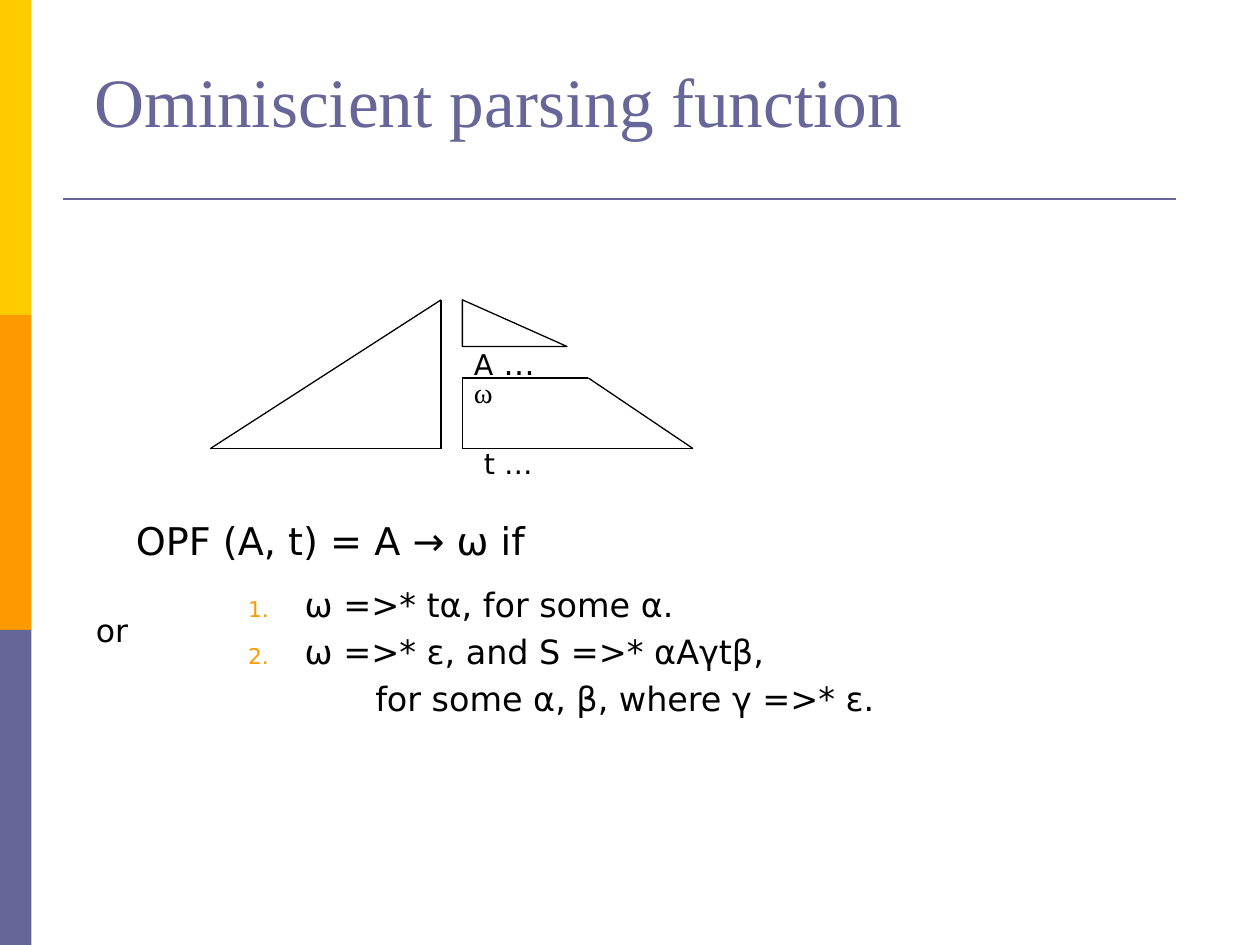
import itertools

import lxml.etree
import pptx
import pptx.dml.color
import pptx.enum.shapes
import pptx.enum.text
import pptx.oxml.ns
import pptx.util

Inches = pptx.util.Inches
Pt = pptx.util.Pt
RGBColor = pptx.dml.color.RGBColor
SHAPE = pptx.enum.shapes.MSO_SHAPE
ANCHOR = pptx.enum.text.MSO_ANCHOR

YELLOW = RGBColor(0xFF, 0xCC, 0x00)
ORANGE = RGBColor(0xFF, 0x99, 0x00)
PURPLE = RGBColor(0x66, 0x66, 0x99)
BLACK = RGBColor(0, 0, 0)
SANS = "DejaVu Sans"
SERIF = "Times New Roman"
LABEL = {"margin_left": Inches(0.09), "margin_right": Inches(0.09),
         "margin_top": Inches(0.04), "margin_bottom": Inches(0.04)}


def assign(item, values):
    """Set each named value on the item."""
    for name, value in values.items():
        setattr(item, name, value)


def child(node, tag, **values):
    """Append a drawing element with the given attributes."""
    return lxml.etree.SubElement(node, pptx.oxml.ns.qn(tag), **values)


def write(para, text, size, font=SANS, color=BLACK):
    """Add a run of formatted text to a paragraph."""
    run = para.add_run()
    run.text = text
    assign(run.font, {"name": font, "size": Pt(size)})
    run.font.color.rgb = color


def frame(slide, box, values):
    """Add a wrapping text box and return its text frame."""
    body = slide.shapes.add_textbox(*map(Inches, box)).text_frame
    assign(body, {"word_wrap": True, **values})
    return body


def label(slide, box, *runs):
    """Add a one-line label made of runs."""
    para = frame(slide, box, LABEL).paragraphs[0]
    para.space_before = Pt(1.5)
    for run in runs:
        write(para, *run)


def line(slide, start, end, color, width):
    """Draw a straight line between two points."""
    kind = pptx.enum.shapes.MSO_CONNECTOR.STRAIGHT
    edge = slide.shapes.add_connector(kind, *map(Inches, (*start, *end)))
    edge.line.color.rgb = color
    edge.line.width = Pt(width)
    child(edge._element.spPr, "a:effectLst")


def stripe(slide, box):
    """Stack three equal colour bars in the box."""
    left, top, width, height = box
    colors = (YELLOW, ORANGE, PURPLE)
    step = height / len(colors)
    for row, color in enumerate(colors):
        place = (left, top + row * step, width, step)
        bar = slide.shapes.add_shape(SHAPE.RECTANGLE, *map(Inches, place))
        bar.shadow.inherit = False
        bar.fill.solid()
        bar.fill.fore_color.rgb = color
        bar.line.fill.background()


def title(slide, box):
    """Place the heading above its rule."""
    left, top, width, height = box
    body = frame(slide, box, {"vertical_anchor": ANCHOR.BOTTOM})
    write(body.paragraphs[0], "Ominiscient parsing function", 39.6, SERIF, PURPLE)
    level = top + height + 0.41
    line(slide, (left - 0.15, level), (left + 8.68, level), PURPLE, 1.5)


def diagram(slide, box):
    """Draw the split parse tree with its labels."""
    left, top, width, height = box
    right, base = left + width, top + height
    half = 1.83
    stem, split, shelf = left + half, right - half, top + 0.62
    outlines = (
        ((left, base), (stem, base), (stem, top)),
        ((split, base), (right, base), (split + 1, shelf), (split, shelf)),
    )
    for points in outlines:
        for start, end in itertools.pairwise((*points, points[0])):
            line(slide, start, end, BLACK, 0.75)
    label(slide, (split, shelf - 0.06, 0.42, 0.36), ("ω", 16.3, SERIF))
    label(slide, (split + 0.08, base - 0.06, 0.92, 0.36), ("t …", 16.3))
    place = (split, top, 0.83, 0.37)
    peak = slide.shapes.add_shape(SHAPE.RIGHT_TRIANGLE, *map(Inches, place))
    peak.shadow.inherit = False
    peak.fill.background()
    peak.line.color.rgb = BLACK
    peak.line.width = Pt(0.75)
    label(slide, (split, top + 0.31, 0.92, 0.39), ("A", 16.3), (" …", 18))


def rules(slide, box):
    """Write the definition and its two numbered cases."""
    left, top = box[:2]
    body = frame(slide, box, {})
    rows = (
        ("OPF (A, t) = A → ω if", 21.8, 2, 0, False),
        ("ω =>* tα, for some α.", 19.1, 11.5, 1.34, True),
        ("ω =>* ε, and S =>* αAγtβ,", 19.1, 4, 1.34, True),
        ("for some α, β, where γ =>* ε.", 19.1, 4, 1.9, False),
    )
    for row, (text, size, gap, indent, listed) in enumerate(rows):
        para = body.add_paragraph() if row else body.paragraphs[0]
        para.space_before = Pt(gap)
        write(para, text, size)
        props = para._p.get_or_add_pPr()
        props.set("marL", str(Inches(indent)))
        props.set("indent", str(Inches(-0.45 if listed else 0)))
        if listed:
            para.level = 2
            child(child(props, "a:buClr"), "a:srgbClr", val=str(ORANGE))
            child(props, "a:buSzPct", val="65000")
            child(props, "a:buFont", typeface=SANS)
            child(props, "a:buAutoNum", type="arabicPeriod")
    label(slide, (left - 0.31, top + 0.75, 0.75, 0.39), ("or", 18))


def main():
    """Build and save the slide."""
    deck = pptx.Presentation()
    assign(deck, {"slide_width": Inches(10), "slide_height": Inches(7.5)})
    slide = deck.slides.add_slide(deck.slide_layouts[6])
    stripe(slide, (0, 0, 0.25, 7.5))
    title(slide, (0.65, 0.23, 7.04, 0.94))
    rules(slide, (0.98, 4.06, 8.85, 2.25))
    diagram(slide, (1.67, 2.38, 3.83, 1.18))
    deck.save("out.pptx")


if __name__ == "__main__":
    main()
